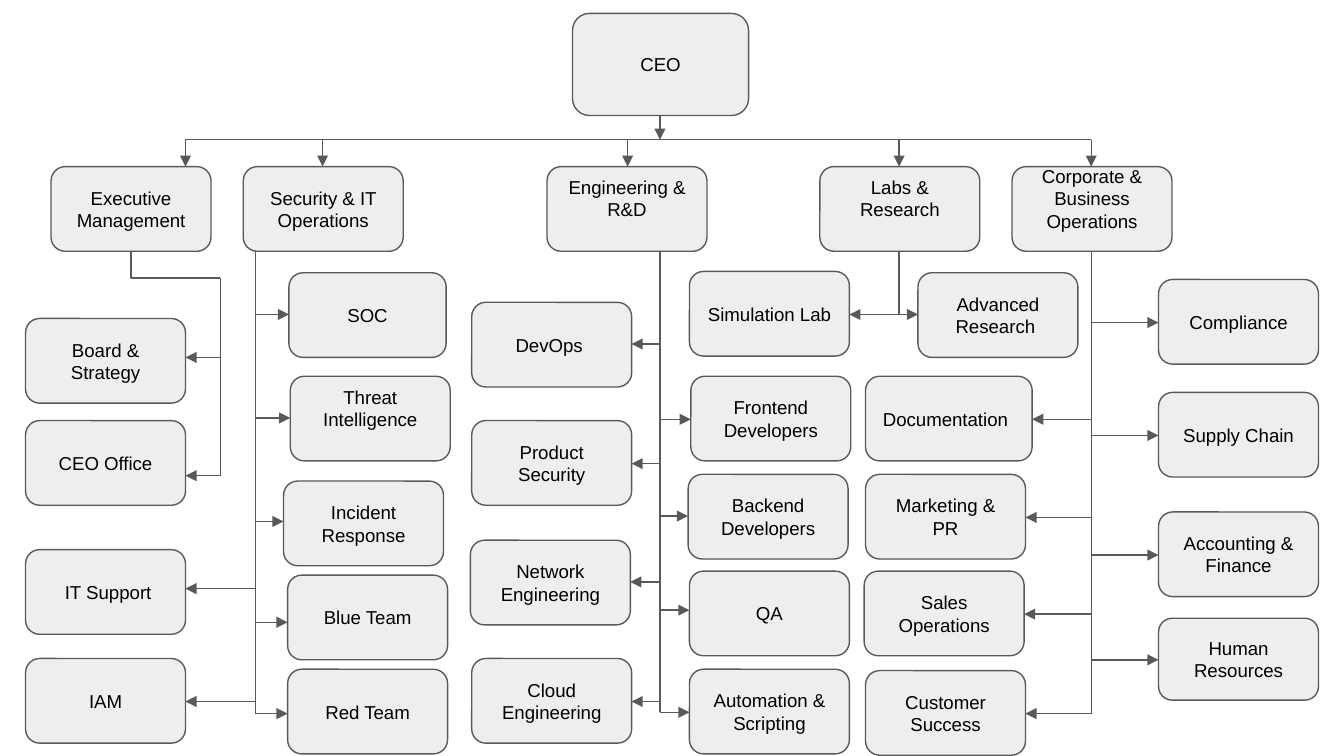
from pptx import Presentation
from pptx.dml.color import RGBColor
from pptx.enum.shapes import MSO_CONNECTOR, MSO_SHAPE
from pptx.enum.text import MSO_ANCHOR, PP_ALIGN
from pptx.oxml.ns import qn
from pptx.util import Inches, Pt
from lxml.etree import SubElement

COLORS = {"box": "EEEEEE", "line": "595959", "text": "000000"}
BOX_W, BOX_H = 1.19, 0.63
DEPT_TOP, BUS_Y, ELBOW_Y = 1.24, 1.04, 2.07
DEPT_BOTTOM = DEPT_TOP + BOX_H
CEO_X = 4.91
WIDTHS = {"SOC": 1.17, "Documentation": 1.24}
HEIGHTS = {"Human Resources": 0.61}
RAISED = {"Engineering & R&D", "Labs & Research",
          "Corporate & Business Operations", "Threat Intelligence"}

# department, left, x of the entry arrow, x of the spine,
# teams as (name, left, top, y of the arrow)
DEPARTMENTS = [
    ("Executive Management", 0.38, 1.38, 1.64, [
        ("Board & Strategy", 0.19, 2.37, 2.66),
        ("CEO Office", 0.19, 3.13, 3.54)]),
    ("Security & IT Operations", 1.81, 2.4, 1.9, [
        ("SOC", 2.15, 2.03, 2.34),
        ("Threat Intelligence", 2.16, 2.8, 3.11),
        ("Incident Response", 2.11, 3.58, 3.88),
        (" IT Support", 0.19, 4.09, 4.38),
        ("Blue Team", 2.14, 4.28, 4.63),
        ("IAM", 0.19, 4.9, 5.22),
        ("Red Team", 2.14, 4.98, 5.31)]),
    ("Engineering & R&D", 4.07, 4.67, CEO_X, [
        ("DevOps ", 3.51, 2.25, 2.56),
        ("Frontend Developers", 5.14, 2.8, 3.12),
        ("Product Security", 3.51, 3.13, 3.45),
        ("Backend Developers", 5.12, 3.53, 3.84),
        ("Network Engineering", 3.5, 4.02, 4.33),
        ("QA", 5.13, 4.25, 4.54),
        ("Cloud Engineering", 3.51, 4.9, 5.22),
        ("Automation & Scripting", 5.13, 4.98, 5.3)]),
    ("Labs & Research", 6.1, 6.69, 6.69, [
        ("Simulation Lab", 5.13, 2.02, 2.34),
        ("Advanced Research ", 6.83, 2.03, 2.34)]),
    ("Corporate & Business Operations", 7.53, 8.12, 8.12, [
        ("Compliance", 8.62, 2.08, 2.4),
        ("Documentation", 6.44, 2.8, 3.12),
        ("Supply Chain", 8.62, 2.92, 3.24),
        ("Marketing & PR", 6.44, 3.53, 3.85),
        ("Accounting & Finance", 8.62, 3.81, 4.13),
        ("Sales Operations", 6.43, 4.25, 4.57),
        ("Human Resources", 8.62, 4.6, 4.91),
        ("Customer Success", 6.44, 4.99, 5.31)]),
]

prs = Presentation()
prs.slide_width = Inches(10)
prs.slide_height = prs.slide_width * 9 // 16
s = prs.slides.add_slide(prs.slide_layouts[6])


def add_box(text, left, top, width=BOX_W, height=BOX_H):
    sp = s.shapes.add_shape(MSO_SHAPE.ROUNDED_RECTANGLE, Inches(left),
                            Inches(top), Inches(width), Inches(height))
    sp.shadow.inherit = False
    sp.fill.solid()
    sp.fill.fore_color.rgb = RGBColor.from_string(COLORS["box"])
    sp.line.color.rgb = RGBColor.from_string(COLORS["line"])
    sp.line.width = Pt(0.75)
    tf = sp.text_frame
    tf.word_wrap = True
    tf.vertical_anchor = MSO_ANCHOR.MIDDLE
    tf.margin_left = tf.margin_right = tf.margin_top = Inches(0.1)
    tf.margin_bottom = Inches(0.26 if text in RAISED else 0.1)
    p = tf.paragraphs[0]
    p.text = text
    p.alignment = PP_ALIGN.LEFT if text == "Documentation" else PP_ALIGN.CENTER
    p.font.size = Pt(10)
    p.font.name = "Arial"
    p.font.color.rgb = RGBColor.from_string(COLORS["text"])


def add_line(x1, y1, x2, y2, arrow=False, kind=MSO_CONNECTOR.STRAIGHT):
    c = s.shapes.add_connector(kind, Inches(x1), Inches(y1), Inches(x2), Inches(y2))
    c.line.color.rgb = RGBColor.from_string(COLORS["line"])
    c.line.width = Pt(0.75)
    sp_pr = c._element.spPr
    if arrow:
        SubElement(sp_pr.find(qn("a:ln")), qn("a:tailEnd"), type="triangle")
    SubElement(sp_pr, qn("a:effectLst"))
    return c


add_box("CEO", 4.26, 0.1, 1.31, 0.76)
add_line(CEO_X, 0.86, CEO_X, BUS_Y, arrow=True)
add_line(DEPARTMENTS[0][2], BUS_Y, DEPARTMENTS[-1][2], BUS_Y)

for dept, left, entry_x, spine_x, teams in DEPARTMENTS:
    add_box(dept, left, DEPT_TOP)
    add_line(entry_x, BUS_Y, entry_x, DEPT_TOP, arrow=True)

    spine_top = DEPT_BOTTOM
    if spine_x > left + BOX_W:  # the spine stands beside the box
        spine_top = ELBOW_Y
        elbow = add_line(spine_x, ELBOW_Y, left + BOX_W / 2, DEPT_BOTTOM,
                         kind=MSO_CONNECTOR.ELBOW)
        elbow._element.spPr.find(qn("a:prstGeom")).set("prst", "bentConnector2")
    add_line(spine_x, spine_top, spine_x, teams[-1][3])

    for team, team_left, top, arrow_y in teams:
        width = WIDTHS.get(team, BOX_W)
        add_box(team, team_left, top, width, HEIGHTS.get(team, BOX_H))
        tip_x = team_left if team_left > spine_x else team_left + width
        add_line(spine_x, arrow_y, tip_x, arrow_y, arrow=True)

prs.save("out.pptx")
